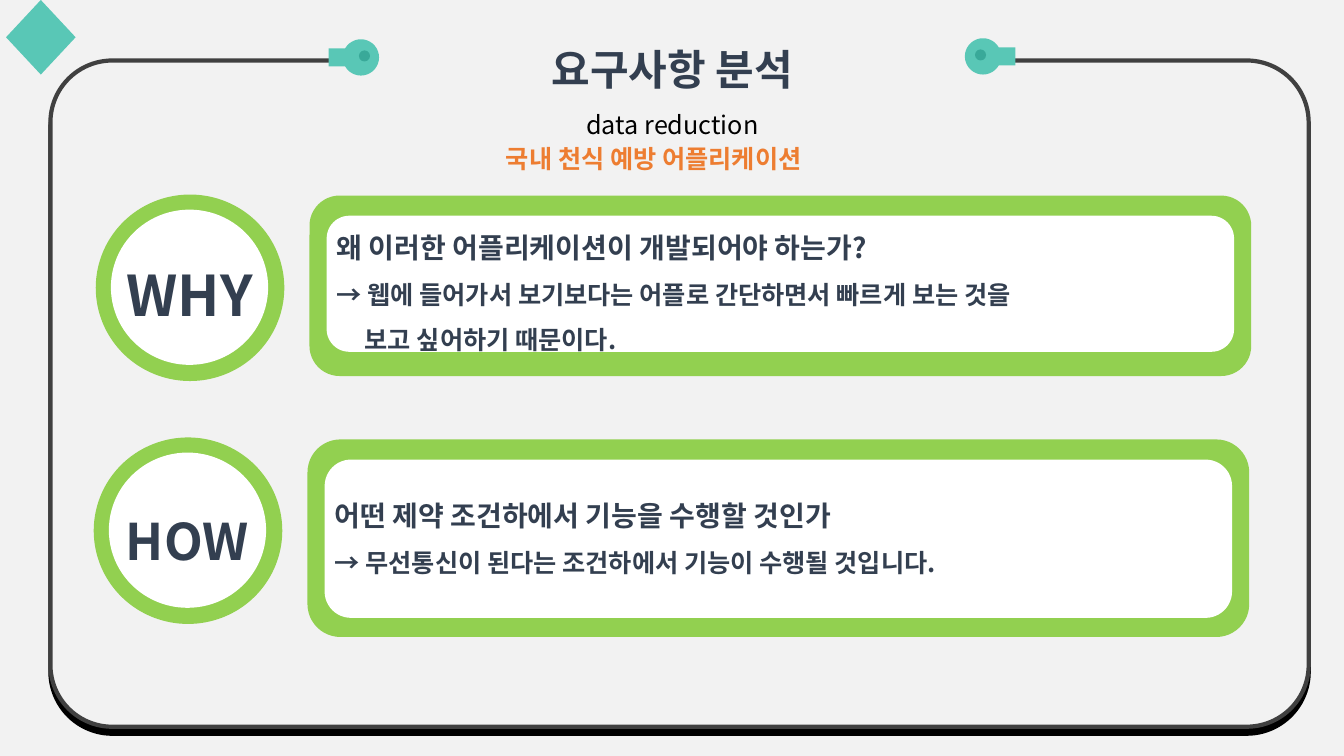
import math

from lxml import etree
from pptx import Presentation
from pptx.dml.color import RGBColor
from pptx.enum.shapes import MSO_SHAPE
from pptx.enum.text import MSO_ANCHOR, MSO_AUTO_SIZE, PP_ALIGN
from pptx.oxml.ns import qn
from pptx.util import Pt

EMU_PER_PX = 9144  # 100 px to the inch
FONT = "Noto Sans CJK KR"

PAPER = RGBColor(0xF2, 0xF2, 0xF2)
WHITE = RGBColor(0xFF, 0xFF, 0xFF)
BLACK = RGBColor(0x00, 0x00, 0x00)
CHARCOAL = RGBColor(0x40, 0x40, 0x40)
NAVY = RGBColor(0x33, 0x3F, 0x50)
ORANGE = RGBColor(0xED, 0x7D, 0x31)
GREEN = RGBColor(0x92, 0xD0, 0x50)
TEAL = RGBColor(0x59, 0xC7, 0xB6)
DARK_TEAL = RGBColor(0x39, 0xA9, 0x99)

RECTANGLE = MSO_SHAPE.RECTANGLE
ROUNDED = MSO_SHAPE.ROUNDED_RECTANGLE
OVAL = MSO_SHAPE.OVAL
DIAMOND = MSO_SHAPE.DIAMOND
LEFT, CENTER = PP_ALIGN.LEFT, PP_ALIGN.CENTER
TOP, MIDDLE = MSO_ANCHOR.TOP, MSO_ANCHOR.MIDDLE
FIT_SHAPE = MSO_AUTO_SIZE.SHAPE_TO_FIT_TEXT


def px(length):
    return round(length * EMU_PER_PX)


def add_para(frame, text, size=18, color=NAVY, bold=True, align=LEFT, spacing=1.5, indent=0):
    """Fill the first paragraph of the frame, or append one after it."""
    para = frame.paragraphs[0]
    if para.runs:
        para = frame.add_paragraph()
    para.alignment = align
    para.line_spacing = spacing
    if indent:
        properties = para._p.get_or_add_pPr()
        properties.set("marL", str(px(indent)))
        properties.set("indent", "0")
    span = para.add_run()
    span.text = text
    span.font.size = Pt(size)
    span.font.bold = bold
    span.font.color.rgb = color
    span.font.name = FONT
    etree.SubElement(span._r.get_or_add_rPr(), qn("a:ea"), typeface=FONT)


class Canvas:
    def __init__(self, page):
        self.page = page
        self.page.background.fill.solid()
        self.page.background.fill.fore_color.rgb = PAPER

    def paint(self, shape, fill):
        shape.shadow.inherit = False
        shape.fill.solid()
        shape.fill.fore_color.rgb = fill
        shape.line.fill.background()
        return shape

    def shape(self, kind, left, top, width, height, fill):
        shape = self.page.shapes.add_shape(kind, px(left), px(top), px(width), px(height))
        return self.paint(shape, fill)

    def frame_text(self, shape, paras, wrap=True, anchor=TOP):
        frame = shape.text_frame
        frame.word_wrap = wrap
        frame.auto_size = FIT_SHAPE
        frame.vertical_anchor = anchor
        for text, style in paras:
            add_para(frame, text, **style)

    def text(self, left, top, width, height, paras, wrap=True):
        box = self.page.shapes.add_textbox(px(left), px(top), px(width), px(height))
        self.frame_text(box, paras, wrap)

    def border(self, left, top, width, height):
        """Outlined panel with a hard shadow straight below it."""
        panel = self.shape(ROUNDED, left, top, width, height, PAPER)
        panel.adjustments[0] = 0.093
        panel.line.color.rgb = CHARCOAL
        panel.line.width = Pt(3)
        effects = panel._element.spPr.find(qn("a:effectLst"))
        shadow = etree.SubElement(effects, qn("a:outerShdw"), blurRad="0", dist=str(Pt(5)),
                                  dir="5400000", algn="t", rotWithShape="0")
        etree.SubElement(shadow, qn("a:srgbClr"), val=str(BLACK))

    def plug(self, center_x, center_y, side):
        """Round plug whose handle points right (side 1) or left (side -1)."""
        radius, handle = 18, 32
        arc = [(center_x + side * radius * math.cos(math.radians(angle)),
                center_y + radius * math.sin(math.radians(angle)))
               for angle in range(30, 331, 10)]
        tip = center_x + side * handle
        points = arc + [(tip, center_y - 9), (tip, center_y + 9)]
        points = [(px(x), px(y)) for x, y in points]
        builder = self.page.shapes.build_freeform(*points[0])
        builder.add_line_segments(points[1:], close=True)
        body = self.paint(builder.convert_to_shape(), TEAL)
        hole = self.shape(OVAL, center_x - 3 * side - 5, center_y - 7, 11, 11, DARK_TEAL)
        self.page.shapes.add_group_shape([body, hole])

    def badge(self, left, top):
        ring = self.shape(OVAL, left, top, 187, 185, GREEN)
        disc = self.shape(OVAL, left + 15, top + 15, 156, 154, WHITE)
        self.page.shapes.add_group_shape([ring, disc])

    def question(self, left, badge_top, label, label_size, label_span, panel_span,
                 inner_span, body_span, paras):
        """Badge with its label, then the panel; each span is (top, height)."""
        self.badge(left, badge_top)
        self.text(left - 20, label_span[0], 226, label_span[1],
                  [(label, {"size": label_size, "align": CENTER})])
        self.shape(ROUNDED, left + 212, panel_span[0], 934, panel_span[1], GREEN)
        self.shape(ROUNDED, left + 229, inner_span[0], 900, inner_span[1], WHITE)
        self.text(left + 229, body_span[0], 900, body_span[1], paras)


def main():
    deck = Presentation()
    deck.slide_width, deck.slide_height = px(1333), px(750)
    canvas = Canvas(deck.slides.add_slide(deck.slide_layouts[6]))

    # Border, with the title interrupting its top edge
    canvas.border(50, 60, 1248, 661)
    title = canvas.shape(RECTANGLE, 332, 13, 670, 131, PAPER)
    canvas.frame_text(title, [
        ("요구사항 분석", {"size": 30, "align": CENTER}),
        ("data reduction", {"color": BLACK, "bold": False, "align": CENTER}),
    ], anchor=MIDDLE)
    canvas.plug(975, 56, 1)
    canvas.plug(358, 57, -1)
    canvas.shape(DIAMOND, 6, 0, 69, 74, TEAL)
    canvas.text(492, 137, 350, 40, [
        ("국내 천식 예방 어플리케이션", {"color": ORANGE, "spacing": 1.0}),
    ], wrap=False)

    # Questions and answers
    canvas.question(95, 193, "WHY", 40, (220, 98), (194, 179), (214, 135), (207, 151), [
        ("왜 이러한 어플리케이션이 개발되어야 하는가?", {"size": 20}),
        ("→ 웹에 들어가서 보기보다는 어플로 간단하면서 빠르게 보는 것을", {}),
        ("보고 싶어하기 때문이다.", {"indent": 28}),
    ])
    canvas.question(93, 434, "HOW", 36, (471, 89), (436, 196), (456, 157), (473, 106), [
        ("어떤 제약 조건하에서 기능을 수행할 것인가", {"size": 20}),
        ("→ 무선통신이 된다는 조건하에서 기능이 수행될 것입니다.", {}),
    ])

    deck.save("out.pptx")


if __name__ == "__main__":
    main()
